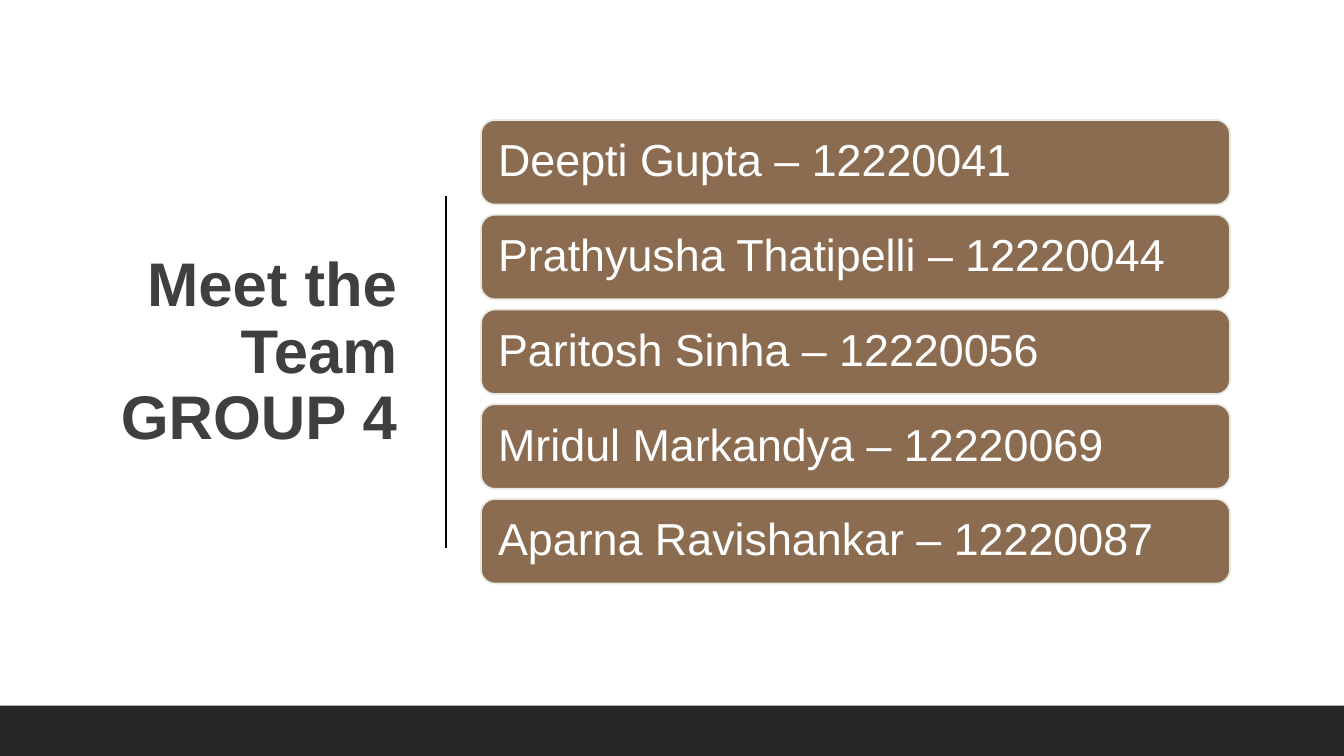
from dataclasses import dataclass

from lxml import etree
from pptx import Presentation
from pptx.dml.color import RGBColor
from pptx.enum.shapes import MSO_CONNECTOR, MSO_SHAPE
from pptx.enum.text import MSO_ANCHOR, MSO_AUTO_SIZE, PP_ALIGN
from pptx.oxml.ns import qn
from pptx.util import Inches, Pt

RECT, ROUND = MSO_SHAPE.RECTANGLE, MSO_SHAPE.ROUNDED_RECTANGLE
LINE = MSO_CONNECTOR.STRAIGHT
MIDDLE = MSO_ANCHOR.MIDDLE
LEFT, RIGHT = PP_ALIGN.LEFT, PP_ALIGN.RIGHT


@dataclass(frozen=True)
class Theme:
    font: str = "Arial"
    title: int = 44
    body: int = 32
    white: RGBColor = RGBColor.from_string("FFFFFF")
    dark: RGBColor = RGBColor.from_string("3F3F3F")
    black: RGBColor = RGBColor.from_string("000000")
    brown: RGBColor = RGBColor.from_string("8B6C51")
    edge: RGBColor = RGBColor.from_string("E8E8E2")
    band: RGBColor = RGBColor.from_string("262626")


theme = Theme()


def add_box(kind, x, y, w, h, fill):
    box = slide.shapes.add_shape(kind, Inches(x), Inches(y), Inches(w), Inches(h))
    box.shadow.inherit = False
    box.fill.solid()
    box.fill.fore_color.rgb = fill
    box.line.fill.background()
    return box


def set_text(shape, lines, size, color, align, inset, bold=False):
    """Fill one middle-anchored paragraph, with a line break between lines."""
    frame = shape.text_frame
    frame.word_wrap = True
    frame.auto_size = MSO_AUTO_SIZE.NONE
    frame.vertical_anchor = MIDDLE
    frame.margin_left = frame.margin_right = Inches(inset)
    frame.margin_top = frame.margin_bottom = Inches(inset)
    para = frame.paragraphs[0]
    para.alignment = align
    para.line_spacing = 0.9
    for i, line in enumerate(lines):
        if i:
            para.add_line_break()
        run = para.add_run()
        run.text = line
        run.font.name = theme.font
        run.font.size = Pt(size)
        run.font.bold = bold
        run.font.color.rgb = color


deck = Presentation()
deck.slide_width, deck.slide_height = Inches(13.33), Inches(7.5)
slide = deck.slides.add_slide(deck.slide_layouts[5])
slide.background.fill.solid()
slide.background.fill.fore_color.rgb = theme.white

# Title
title = slide.shapes.title
title.left, title.top = Inches(0.7), Inches(0.7)
title.width, title.height = Inches(3.36), Inches(5.61)
set_text(title, ["Meet the Team", "GROUP 4"], theme.title, theme.dark, RIGHT, 0.12, True)

# Divider
rule = slide.shapes.add_connector(
    LINE, Inches(4.42), Inches(1.94), Inches(4.42), Inches(5.44))
rule.line.color.rgb = theme.black
rule.line.width = Pt(1.5)
etree.SubElement(rule._element.spPr, qn("a:effectLst"))

# Team members
team = [
    "Deepti Gupta – 12220041",
    "Prathyusha Thatipelli – 12220044",
    "Paritosh Sinha – 12220056",
    "Mridul Markandya – 12220069",
    "Aparna Ravishankar – 12220087",
]
top, step = 1.19, 0.94
for i, member in enumerate(team):
    card = add_box(ROUND, 4.77, top + i * step, 7.43, 0.84, theme.brown)
    card.adjustments[0] = 0.167
    card.line.color.rgb = theme.edge
    card.line.width = Pt(1.25)
    set_text(card, [member], theme.body, theme.white, LEFT, 0.13)

# Footer band
add_box(RECT, 0, 7, 13.33, 0.5, theme.band)

deck.save("out.pptx")
